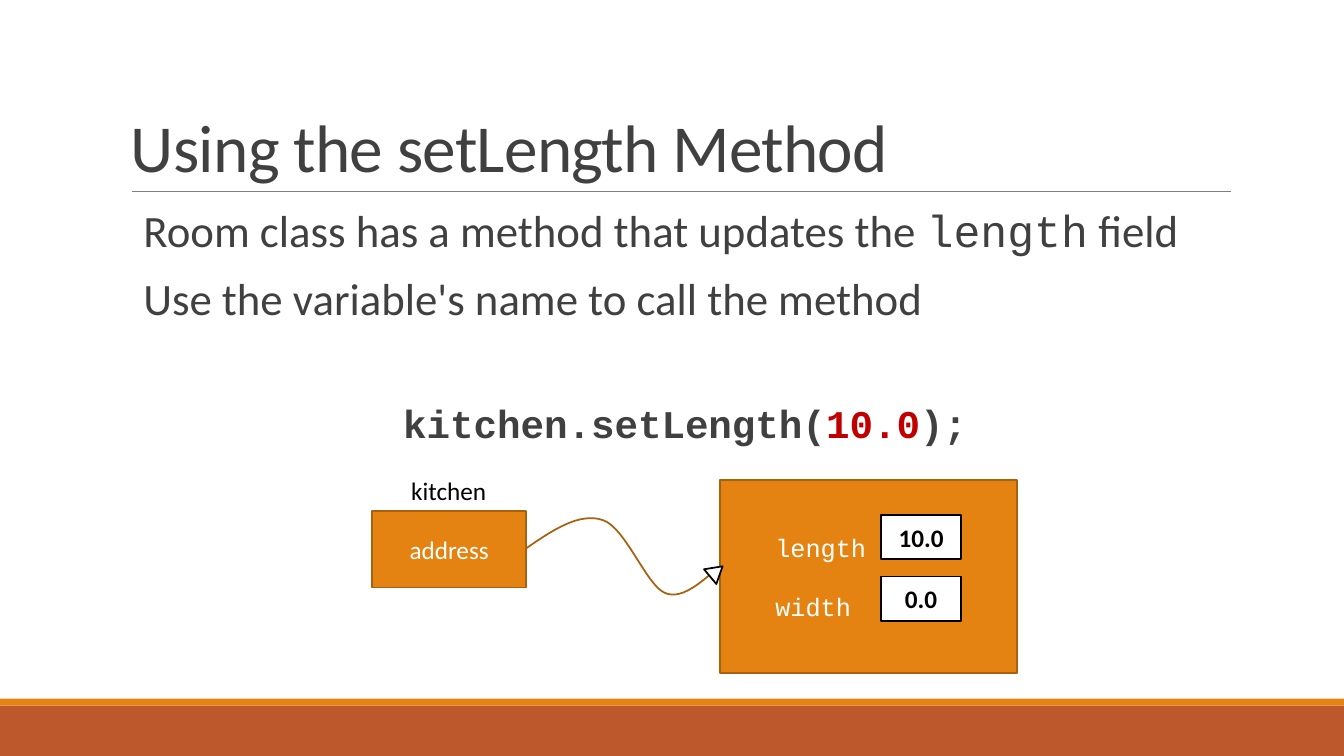
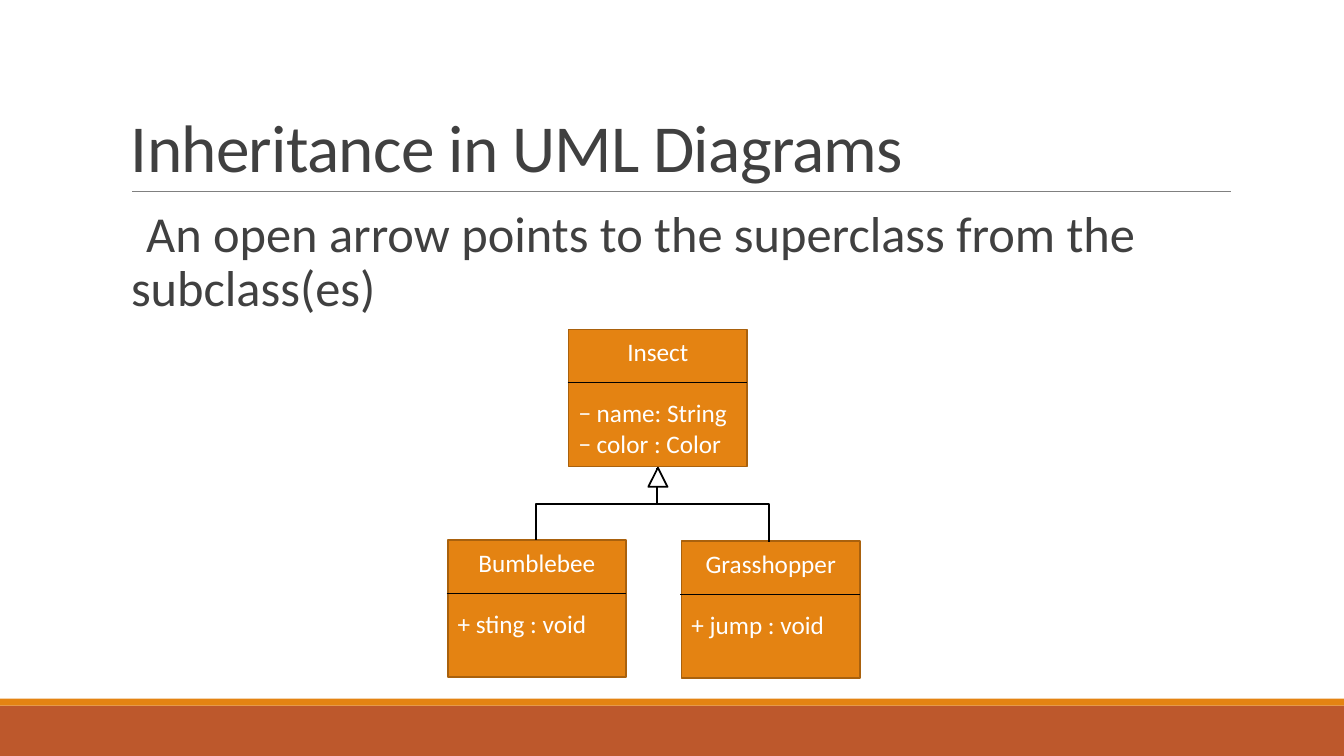
import pptx
import pptx.dml.color
import pptx.enum.shapes
import pptx.enum.text
import pptx.oxml
import pptx.oxml.ns
import pptx.util

SHAPE = pptx.enum.shapes.MSO_SHAPE
CONNECTOR = pptx.enum.shapes.MSO_CONNECTOR
ALIGN = pptx.enum.text.PP_ALIGN
ANCHOR = pptx.enum.text.MSO_ANCHOR
SLIDE_WIDTH = pptx.util.Inches(13.33)
SLIDE_HEIGHT = pptx.util.Inches(7.5)

SANS = "Calibri"
MONO = "Courier New"
ORANGE = "E48312"
RUST = "BD582C"
BROWN = "A9610D"
DARK = "404040"
GRAY = "808080"
RED = "C00000"
WHITE = "FFFFFF"
BLACK = "000000"

MARGIN = 9
CONTENT_WIDTH = 82.5
RULE_TOP = 25.33
CLASS_WIDTH = 13.28
CLASS_HEIGHT = 18.13
CLASS_NAME_HEIGHT = 7.03


def across(percent):
    return round(SLIDE_WIDTH * percent / 100)


def down(percent):
    return round(SLIDE_HEIGHT * percent / 100)


def box(left, top, width, height):
    return across(left), down(top), across(width), down(height)


def color(target, hex_value):
    target.rgb = pptx.dml.color.RGBColor.from_string(hex_value)


def set_line(line, hex_value, points=1.25):
    line.fill.solid()
    color(line.fill.fore_color, hex_value)
    line.width = pptx.util.Pt(points)


def add_block(slide, place, fill, outline=None, preset=SHAPE.RECTANGLE):
    shape = slide.shapes.add_shape(preset, *box(*place))
    shape.shadow.inherit = False
    shape.fill.solid()
    color(shape.fill.fore_color, fill)
    if outline:
        set_line(shape.line, outline)
    else:
        shape.line.fill.background()
    return shape


def add_frame(slide, place, anchor=ANCHOR.TOP, wrap=True):
    frame = slide.shapes.add_textbox(*box(*place)).text_frame
    frame.word_wrap = wrap
    frame.vertical_anchor = anchor
    return frame


def style_paragraph(paragraph, size, hex_value, name=SANS, align=ALIGN.LEFT, bold=False):
    paragraph.alignment = align
    font = paragraph.font
    font.size = pptx.util.Pt(size)
    font.name = name
    font.bold = bold
    color(font.color, hex_value)


def write_lines(frame, lines, size, hex_value, **style):
    for index, line in enumerate(lines):
        paragraph = frame.paragraphs[0] if index == 0 else frame.add_paragraph()
        paragraph.text = line
        style_paragraph(paragraph, size, hex_value, **style)
    return frame.paragraphs


def add_connector(slide, place, points, kind=CONNECTOR.STRAIGHT):
    left, top, width, height = box(*place)
    connector = slide.shapes.add_connector(kind, left, top, left + width, top + height)
    set_line(connector.line, BLACK, points)
    properties = connector._element.spPr
    properties.append(pptx.oxml.parse_xml(
        "<a:effectLst %s/>" % pptx.oxml.ns.nsdecls("a")))
    return connector


def add_elbow(slide, place, preset, rotation=0):
    connector = add_connector(slide, place, 1.25, CONNECTOR.ELBOW)
    properties = connector._element.spPr
    properties.find(pptx.oxml.ns.qn("a:xfrm")).set("rot", str(rotation * 60000))
    properties.find(pptx.oxml.ns.qn("a:prstGeom")).set("prst", preset)


def add_slide(presentation, title):
    slide = presentation.slides.add_slide(presentation.slide_layouts[6])
    add_block(slide, (0, 93.33, 100, 6.67), RUST)
    add_block(slide, (0, 92.4, 100, 0.93), ORANGE)
    rule = add_connector(slide, (9.83, RULE_TOP, 81.77, 0), 0.5)
    set_line(rule.line, GRAY, 0.5)
    frame = add_frame(slide, (MARGIN, 4.13, CONTENT_WIDTH, 21.2), ANCHOR.BOTTOM)
    paragraph = write_lines(frame, [title], 48, DARK)[0]
    paragraph.line_spacing = 0.85
    paragraph._p.get_or_add_pPr().get_or_add_defRPr().set("spc", "-50")
    return slide


def add_body(slide):
    frame = add_frame(slide, (MARGIN, 26.93, CONTENT_WIDTH, 58.67))
    frame.margin_left = frame.margin_right = 0
    return frame


def add_body_paragraph(frame, runs, size, space_before=12, **style):
    first = frame.paragraphs[0]
    paragraph = frame.add_paragraph() if first.runs else first
    style_paragraph(paragraph, size, DARK, **style)
    paragraph.line_spacing = 0.9
    paragraph.space_before = pptx.util.Pt(space_before)
    paragraph.space_after = pptx.util.Pt(2)
    properties = paragraph._p.get_or_add_pPr()
    properties.set("marL", str(pptx.util.Inches(0.1)))
    properties.set("indent", str(-pptx.util.Inches(0.1)))
    bullet = pptx.oxml.parse_xml(
        '<a:buChar %s char=" "/>' % pptx.oxml.ns.nsdecls("a"))
    properties.find(pptx.oxml.ns.qn("a:defRPr")).addprevious(bullet)
    for text, name, hex_value in runs:
        run = paragraph.add_run()
        run.text = text
        if name:
            run.font.name = name
        if hex_value:
            color(run.font.color, hex_value)


def add_curve(slide, start, segments):
    steps = 16
    points = []
    previous = start
    for segment in segments:
        corners = (previous, *segment)
        for step in range(1, steps + 1):
            t = step / steps
            weights = ((1 - t) ** 3, 3 * t * (1 - t) ** 2, 3 * t ** 2 * (1 - t), t ** 3)
            x, y = (sum(w * corner[axis] for w, corner in zip(weights, corners))
                    for axis in (0, 1))
            points.append((across(x), down(y)))
        previous = segment[-1]
    builder = slide.shapes.build_freeform(across(start[0]), down(start[1]))
    builder.add_line_segments(points, close=False)
    curve = builder.convert_to_shape()
    curve.shadow.inherit = False
    curve.fill.background()
    set_line(curve.line, BROWN)


def add_arrowhead(slide, place, rotation=0):
    arrowhead = add_block(slide, place, WHITE, BLACK, SHAPE.ISOSCELES_TRIANGLE)
    arrowhead.rotation = rotation


def add_class(slide, left, top, name, members):
    shape = add_block(slide, (left, top, CLASS_WIDTH, CLASS_HEIGHT), ORANGE, BROWN)
    frame = shape.text_frame
    frame.vertical_anchor = ANCHOR.TOP
    frame.margin_top = pptx.util.Inches(0.07)
    paragraphs = write_lines(frame, [name, *members], 18, WHITE)
    paragraphs[0].alignment = ALIGN.CENTER
    paragraphs[1].space_before = pptx.util.Pt(22)
    add_connector(slide, (left - 0.08, top + CLASS_NAME_HEIGHT, CLASS_WIDTH + 0.08, 0), 1)


def build_method_slide(presentation):
    slide = add_slide(presentation, "Using the setLength Method")
    body = add_body(slide)
    add_body_paragraph(body, [
        ("Room class has a method that updates the ", None, None),
        ("length", MONO, None),
        (" field", None, None)], 32)
    add_body_paragraph(body, [("Use the variable's name to call the method", None, None)], 32)
    add_body_paragraph(body, [
        ("kitchen.setLength(", None, None),
        ("10.0", None, RED),
        (");", None, None)], 28, 54.5, name=MONO, align=ALIGN.CENTER, bold=True)

    variable = add_block(slide, (27.68, 67.6, 11.48, 10.13), ORANGE, BROWN)
    write_lines(variable.text_frame, ["address"], 18, WHITE, align=ALIGN.CENTER)
    label = add_frame(slide, (29.86, 62.27, 7.13, 5.33), wrap=False)
    write_lines(label, ["kitchen"], 18, BLACK)

    room = add_block(slide, (53.56, 63.47, 22.13, 25.6), ORANGE, BROWN)
    room.text_frame.margin_left = pptx.util.Inches(0.55)
    fields = write_lines(room.text_frame, ["length", "width"], 18, WHITE, name=MONO)
    fields[1].space_before = pptx.util.Pt(20.4)
    for row, value in enumerate(("10.0", "0.0")):
        field = add_block(slide, (65.57, 68.13 + row * 8.14, 5.93, 5.87), WHITE, BLACK)
        write_lines(field.text_frame, [value], 18, BLACK, align=ALIGN.CENTER, bold=True)

    add_curve(slide, (39.16, 72.53), [
        ((41.1, 70.13), (43.14, 67.73), (44.86, 68.8)),
        ((46.51, 69.73), (48.09, 77.33), (49.44, 78.4)),
        ((50.86, 79.6), (52.59, 76.13), (53.19, 75.6))])
    add_arrowhead(slide, (52.59, 74.53, 1.43, 2.13), 50.1)


def build_inheritance_slide(presentation):
    slide = add_slide(presentation, "Inheritance in UML Diagrams")
    add_body_paragraph(add_body(slide), [
        ("An open arrow points to the superclass from the subclass(es)", None, None)], 36)
    add_class(slide, 42.31, 43.6, "Insect", ["− name: String", "− color : Color"])
    add_class(slide, 33.31, 71.47, "Bumblebee", ["+ sting : void"])
    add_class(slide, 50.71, 71.6, "Grasshopper", ["+ jump : void"])
    add_elbow(slide, (41.71, 58.67, 5.4, 16), "bentConnector3", 90)
    add_elbow(slide, (48.91, 66.67, 8.33, 5.07), "bentConnector2")
    add_arrowhead(slide, (48.24, 61.87, 1.43, 2.53))


def main():
    presentation = pptx.Presentation()
    presentation.slide_width = SLIDE_WIDTH
    presentation.slide_height = SLIDE_HEIGHT
    build_method_slide(presentation)
    build_inheritance_slide(presentation)
    presentation.save("out.pptx")


if __name__ == "__main__":
    main()
